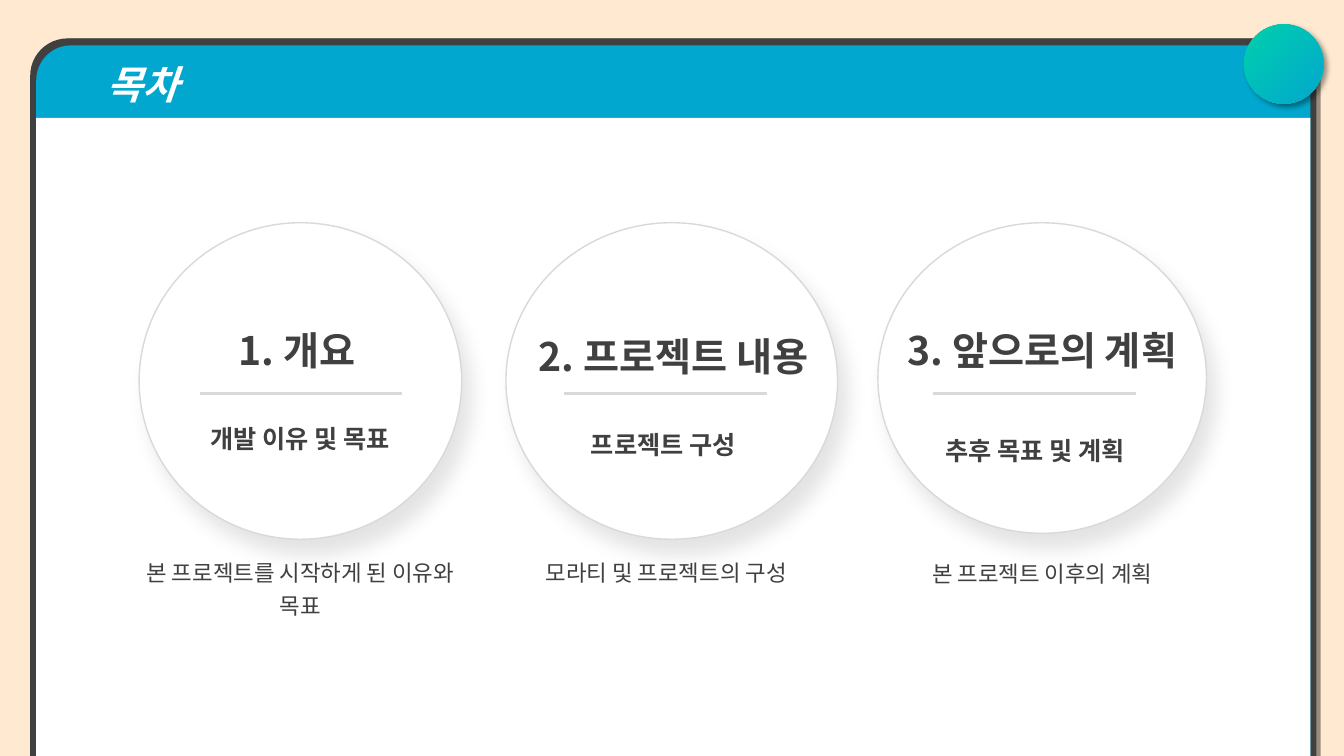
from dataclasses import dataclass
from typing import Optional

import pptx
import pptx.dml.color
import pptx.enum.dml
import pptx.enum.shapes
import pptx.enum.text
import pptx.oxml
import pptx.oxml.ns
import pptx.util
from lxml import etree

Pt = pptx.util.Pt
RGBColor = pptx.dml.color.RGBColor
Kind = pptx.enum.shapes.MSO_SHAPE
Align = pptx.enum.text.PP_ALIGN
Anchor = pptx.enum.text.MSO_ANCHOR
qn = pptx.oxml.ns.qn

FONT = "Noto Sans CJK KR"
CREAM = RGBColor(0xFF, 0xEA, 0xD1)
DARK = RGBColor(0x40, 0x40, 0x40)
BLUE = RGBColor(0x01, 0xA7, 0xCE)
GREEN = RGBColor(0x00, 0xD0, 0xAC)
WHITE = RGBColor(0xFF, 0xFF, 0xFF)
GREY = RGBColor(0xD9, 0xD9, 0xD9)


@dataclass(frozen=True)
class Area:
    left: float
    top: float
    width: float
    height: float

    def lengths(self):
        return Pt(self.left), Pt(self.top), Pt(self.width), Pt(self.height)


@dataclass(frozen=True)
class Shadow:
    alpha: int
    blur: float
    distance: float
    angle: int


@dataclass(frozen=True)
class Line:
    text: str
    size: float
    bold: bool = True
    spacing: float = 1.0
    before: float = 0


@dataclass(frozen=True)
class Caption:
    area: Area
    lines: tuple[Line, ...]
    grow: bool = True


@dataclass(frozen=True)
class Topic:
    circle: Area
    rule_left: float
    captions: tuple[Caption, ...]


FRAME_SHADOW = Shadow(40, 0, 3, 0)
CIRCLE_SHADOW = Shadow(11, 14, 12, 60)
BADGE_SHADOW = Shadow(40, 4, 3, 45)
RULE_TOP = 280.8
RULE_WIDTH = 144.7
FITTED = 1.24

TOPICS = (
    Topic(Area(99.4, 159.1, 230.4, 226.1), 142.6, (
        Caption(Area(154.1, 229.7, 115.9, 41), (Line("1. 개요", 28),)),
        Caption(Area(85.6, 293.7, 257.8, 163.4), (
            Line("개발 이유 및 목표", 18, spacing=FITTED),
            Line("본 프로젝트를 시작하게 된 이유와 목표", 16, False, FITTED, 70.5),
        ), False),
    )),
    Topic(Area(361.4, 159.1, 236.9, 226.1), 403.2, (
        Caption(Area(349.2, 234, 263.5, 41), (Line("2. 프로젝트 내용", 28),)),
        Caption(Area(357.8, 298, 236.2, 131), (
            Line("프로젝트 구성 ", 18, spacing=FITTED),
            Line("모라티 및 프로젝트의 구성", 16, False, FITTED, 66.2),
        ), False),
    )),
    Topic(Area(627.1, 159.1, 234.7, 221.8), 666.7, (
        Caption(Area(627.1, 229.7, 234.7, 41), (Line("3. 앞으로의 계획", 28),)),
        Caption(Area(621.4, 298.1, 236.2, 36), (Line("추후 목표 및 계획", 18, spacing=1.5),)),
        Caption(Area(626.4, 388.8, 236.2, 32.4), (Line("본 프로젝트 이후의 계획", 16, False, 1.5),)),
    )),
)


def add_figure(page, kind, area: Area, fill: RGBColor,
               outline: Optional[RGBColor] = None, shadow: Optional[Shadow] = None):
    shape = page.shapes.add_shape(kind, *area.lengths())
    shape.fill.solid()
    shape.fill.fore_color.rgb = fill
    if outline is None:
        shape.line.fill.background()
    else:
        shape.line.color.rgb = outline
        shape.line.width = Pt(1)
    shape.shadow.inherit = False
    if shadow is not None:
        effects = shape._element.spPr.find(qn("a:effectLst"))
        outer = etree.SubElement(
            effects, qn("a:outerShdw"), blurRad=str(Pt(shadow.blur)),
            dist=str(Pt(shadow.distance)), dir=str(shadow.angle * 60000),
            algn="ctr", rotWithShape="0")
        color = etree.SubElement(outer, qn("a:srgbClr"), val="000000")
        etree.SubElement(color, qn("a:alpha"), val=str(shadow.alpha * 1000))
    return shape


def add_span(para, text: str, size: float, color: RGBColor, bold: bool):
    span = para.add_run()
    span.text = text
    span.font.size = Pt(size)
    span.font.bold = bold
    span.font.color.rgb = color
    span.font.name = FONT
    etree.SubElement(span._r.get_or_add_rPr(), qn("a:ea"), typeface=FONT)
    return span


def add_caption(page, caption: Caption) -> None:
    box = page.shapes.add_textbox(*caption.area.lengths())
    frame = box.text_frame
    frame.word_wrap = True
    frame.vertical_anchor = Anchor.MIDDLE if caption.grow else Anchor.TOP
    sizing = pptx.enum.text.MSO_AUTO_SIZE
    frame.auto_size = sizing.SHAPE_TO_FIT_TEXT if caption.grow else sizing.NONE
    for index, line in enumerate(caption.lines):
        para = frame.add_paragraph() if index else frame.paragraphs[0]
        para.alignment = Align.CENTER
        para.line_spacing = line.spacing
        para.space_before = Pt(line.before)
        add_span(para, line.text, line.size, DARK, line.bold)


def add_rule(page, left: float) -> None:
    rule = page.shapes.add_connector(
        pptx.enum.shapes.MSO_CONNECTOR.STRAIGHT,
        Pt(left), Pt(RULE_TOP), Pt(left + RULE_WIDTH), Pt(RULE_TOP))
    rule.line.color.rgb = GREY
    rule.line.width = Pt(2)
    etree.SubElement(rule._element.spPr, qn("a:effectLst"))


def add_window(page) -> None:
    frame = add_figure(page, Kind.ROUND_2_SAME_RECTANGLE,
                       Area(21.6, 27.4, 918.7, 512.6), DARK, shadow=FRAME_SHADOW)
    frame.adjustments[0] = 0.052
    header = add_figure(page, Kind.ROUND_2_SAME_RECTANGLE,
                        Area(25.9, 32.4, 910.1, 507.6), BLUE)
    header.adjustments[0] = 0.049
    header.text_frame.vertical_anchor = Anchor.TOP
    para = header.text_frame.paragraphs[0]
    para.alignment = Align.LEFT
    para.level = 1
    settings = para._p.get_or_add_pPr()
    settings.set("marL", str(Pt(36)))
    settings.set("indent", "0")
    add_span(para, "목차", 28, WHITE, True).font.italic = True
    add_figure(page, Kind.RECTANGLE, Area(25.9, 84.2, 910.1, 455.8), WHITE)


def add_badge(page) -> None:
    badge = add_figure(page, Kind.OVAL, Area(888.5, 17.3, 56.9, 56.9), BLUE,
                       shadow=BADGE_SHADOW)
    gradient = pptx.oxml.parse_xml(
        '<a:gradFill xmlns:a="http://schemas.openxmlformats.org/drawingml/2006/main" rotWithShape="1">'
        f'<a:gsLst><a:gs pos="0"><a:srgbClr val="{BLUE}"/></a:gs>'
        f'<a:gs pos="100000"><a:srgbClr val="{GREEN}"/></a:gs></a:gsLst>'
        '<a:path path="circle"><a:fillToRect l="100000" t="100000"/></a:path></a:gradFill>')
    properties = badge._element.spPr
    properties.replace(properties.find(qn("a:solidFill")), gradient)


def main() -> None:
    deck = pptx.Presentation()
    deck.slide_width = Pt(960)
    deck.slide_height = Pt(540)
    page = deck.slides.add_slide(deck.slide_layouts[6])
    page.background.fill.solid()
    page.background.fill.fore_color.rgb = CREAM
    add_window(page)
    for topic in TOPICS:
        add_figure(page, Kind.OVAL, topic.circle, WHITE, GREY, CIRCLE_SHADOW)
        add_rule(page, topic.rule_left)
        for caption in topic.captions:
            add_caption(page, caption)
    add_badge(page)
    deck.save("out.pptx")


if __name__ == "__main__":
    main()
